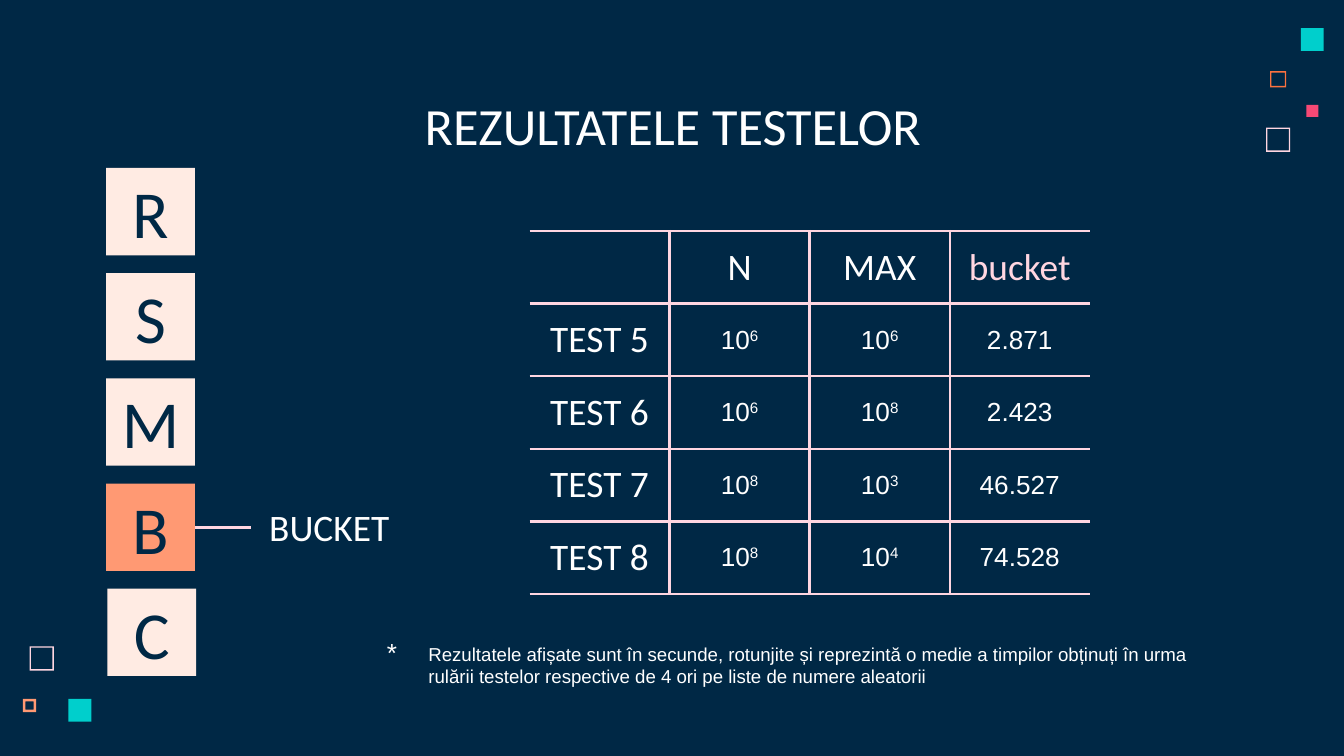
from dataclasses import dataclass

from lxml import etree
from pptx import Presentation
from pptx import util as u
from pptx.dml.color import RGBColor
from pptx.enum import shapes, text
from pptx.oxml import ns

NAVY, WHITE, CREAM = "002845", "FFFFFF", "FFEBE3"
PINK, ORANGE, TEAL = "FFD6E1", "FF9973", "00CFCC"


@dataclass
class Square:
    left: float
    top: float
    side: float
    color: str
    rim: float = 0  # thickness of a hollow square's outline


@dataclass
class Tile:
    letter: str
    left: float = 0.79
    color: str = CREAM


DECOR = [
    Square(9.42, 0.95, 0.18, PINK, 0.01),
    Square(9.45, 0.53, 0.12, "FC723F", 0.01),
    Square(9.68, 0.21, 0.17, TEAL),
    Square(0.17, 5.2, 0.1, ORANGE, 0.02),
    Square(9.72, 0.78, 0.09, "F64975"),
    Square(0.22, 4.81, 0.18, PINK, 0.01),
    Square(0.51, 5.2, 0.17, TEAL),
]
TILES = [Tile("R"), Tile("S"), Tile("M"), Tile("B", color=ORANGE), Tile("C", left=0.8)]
TILE_W, TILE_H, FIRST_TOP, LAST_TOP = 0.66, 0.65, 1.25, 4.38

# A caret marks the start of an exponent
ROWS = [
    ["", "N", "MAX", "bucket"],
    ["TEST 5", "10^6", "10^6", "2.871"],
    ["TEST 6", "10^6", "10^8", "2.423"],
    ["TEST 7", "10^8", "10^3", "46.527"],
    ["TEST 8", "10^8", "10^4", "74.528"],
]


def rgb(color: str) -> RGBColor:
    return RGBColor.from_string(color)


def box(left: float, top: float, width: float, height: float) -> list:
    return [u.Inches(v) for v in (left, top, width, height)]


def set_margins(tf) -> None:
    tf.margin_left = tf.margin_right = tf.margin_top = tf.margin_bottom = u.Inches(0.1)


def write(tf, content: str, size: float, color: str, font: str = "Calibri",
          align=text.PP_ALIGN.CENTER, anchor=text.MSO_ANCHOR.MIDDLE):
    """Fill a text frame with one paragraph, raising any exponent."""
    set_margins(tf)
    tf.word_wrap = True
    tf.vertical_anchor = anchor
    p = tf.paragraphs[0]
    p.alignment = align
    p.font.size, p.font.name = u.Pt(size), font
    p.font.color.rgb = rgb(color)
    base, _, exponent = content.partition("^")
    p.add_run().text = base
    if exponent:
        r = p.add_run()
        r.text = exponent
        r._r.get_or_add_rPr().set("baseline", "30000")
    return p


def add_block(s, kind, bounds: list, color: str):
    sp = s.shapes.add_shape(kind, *bounds)
    sp.shadow.inherit = False
    sp.fill.solid()
    sp.fill.fore_color.rgb = rgb(color)
    sp.line.fill.background()
    return sp


def add_square(s, sq: Square) -> None:
    kind = shapes.MSO_SHAPE.FRAME if sq.rim else shapes.MSO_SHAPE.RECTANGLE
    sp = add_block(s, kind, box(sq.left, sq.top, sq.side, sq.side), sq.color)
    if sq.rim:
        sp.adjustments[0] = sq.rim / sq.side


def add_tile(s, tile: Tile, top: float):
    bounds = box(tile.left, top, TILE_W, TILE_H)
    sp = add_block(s, shapes.MSO_SHAPE.RECTANGLE, bounds, tile.color)
    write(sp.text_frame, tile.letter, 36, NAVY)
    return sp


def set_borders(cell, hidden: str) -> None:
    tc_pr = cell._tc.get_or_add_tcPr()
    for side in "LRTB":
        ln = etree.SubElement(tc_pr, ns.qn(f"a:ln{side}"), w=str(u.Pt(1.5)))
        if side == hidden:
            etree.SubElement(ln, ns.qn("a:noFill"))
        else:
            fill = etree.SubElement(ln, ns.qn("a:solidFill"))
            etree.SubElement(fill, ns.qn("a:srgbClr"), val=PINK)


def add_results(s) -> None:
    n_rows, n_cols = len(ROWS), len(ROWS[0])
    table = s.shapes.add_table(n_rows, n_cols, *box(3.94, 1.72, 4.17, 2.7)).table
    table.first_row = table.horz_banding = False
    open_sides = {0: "L", n_cols - 1: "R"}
    for i, row in enumerate(ROWS):
        for j, value in enumerate(row):
            cell = table.cell(i, j)
            set_borders(cell, open_sides.get(j, ""))
            cell.fill.background()
            set_margins(cell)
            cell.vertical_anchor = text.MSO_ANCHOR.MIDDLE
            if value:
                heading = i == 0 or j == 0
                write(cell.text_frame, value, 20 if heading else 14,
                      PINK if value == "bucket" else WHITE,
                      "Calibri" if heading else "Arial")


def add_footnote(s) -> None:
    tb = s.shapes.add_textbox(*box(2.78, 4.68, 6.43, 0.65))
    p = write(tb.text_frame,
              "Rezultatele afișate sunt în secunde, rotunjite și reprezintă o medie a "
              "timpilor obținuți în urma rulării testelor respective de 4 ori pe liste "
              "de numere aleatorii",
              10, WHITE, "Arial", text.PP_ALIGN.LEFT, text.MSO_ANCHOR.TOP)
    p_pr = p._p.get_or_add_pPr()
    indent = u.Inches(0.31)
    p_pr.set("marL", str(indent))
    p_pr.set("indent", str(-indent))
    # Bullet settings come before the paragraph's default run properties
    bullet = etree.fromstring(
        f'<a:pPr {ns.nsdecls("a")}>'
        f'<a:buClr><a:srgbClr val="{WHITE}"/></a:buClr><a:buSzPct val="140000"/>'
        '<a:buFont typeface="Arial"/><a:buChar char="*"/></a:pPr>')
    for k, el in enumerate(list(bullet)):
        p_pr.insert(k, el)


def main() -> None:
    prs = Presentation()
    prs.slide_width = u.Inches(10)
    prs.slide_height = prs.slide_width * 9 // 16
    s = prs.slides.add_slide(prs.slide_layouts[5])
    s.background.fill.solid()
    s.background.fill.fore_color.rgb = rgb(NAVY)

    # Corner decoration
    for sq in DECOR:
        add_square(s, sq)

    # Title
    title = s.shapes.title
    title.left, title.top, title.width, title.height = box(0.79, 0.59, 8.43, 0.63)
    write(title.text_frame, "REZULTATELE TESTELOR", 28, WHITE,
          anchor=text.MSO_ANCHOR.TOP)

    # Letter tiles, evenly spaced
    pitch = (LAST_TOP - FIRST_TOP) / (len(TILES) - 1)
    tiles = {t.letter: add_tile(s, t, FIRST_TOP + i * pitch) for i, t in enumerate(TILES)}

    # Label of the current tile
    current = tiles["B"]
    middle = current.top + current.height // 2
    line = s.shapes.add_connector(shapes.MSO_CONNECTOR.STRAIGHT,
                                  current.left + current.width, middle,
                                  u.Inches(1.87), middle)
    line.begin_connect(current, 3)
    line.line.color.rgb = rgb(PINK)
    line.line.width = u.Pt(1.5)
    etree.SubElement(line._element.spPr, ns.qn("a:effectLst"))
    label = s.shapes.add_textbox(*box(1.89, 3.73, 1.12, 0.37))
    write(label.text_frame, "BUCKET", 20, WHITE)

    # Results and footnote
    add_results(s)
    add_footnote(s)
    prs.save("out.pptx")


if __name__ == "__main__":
    main()
